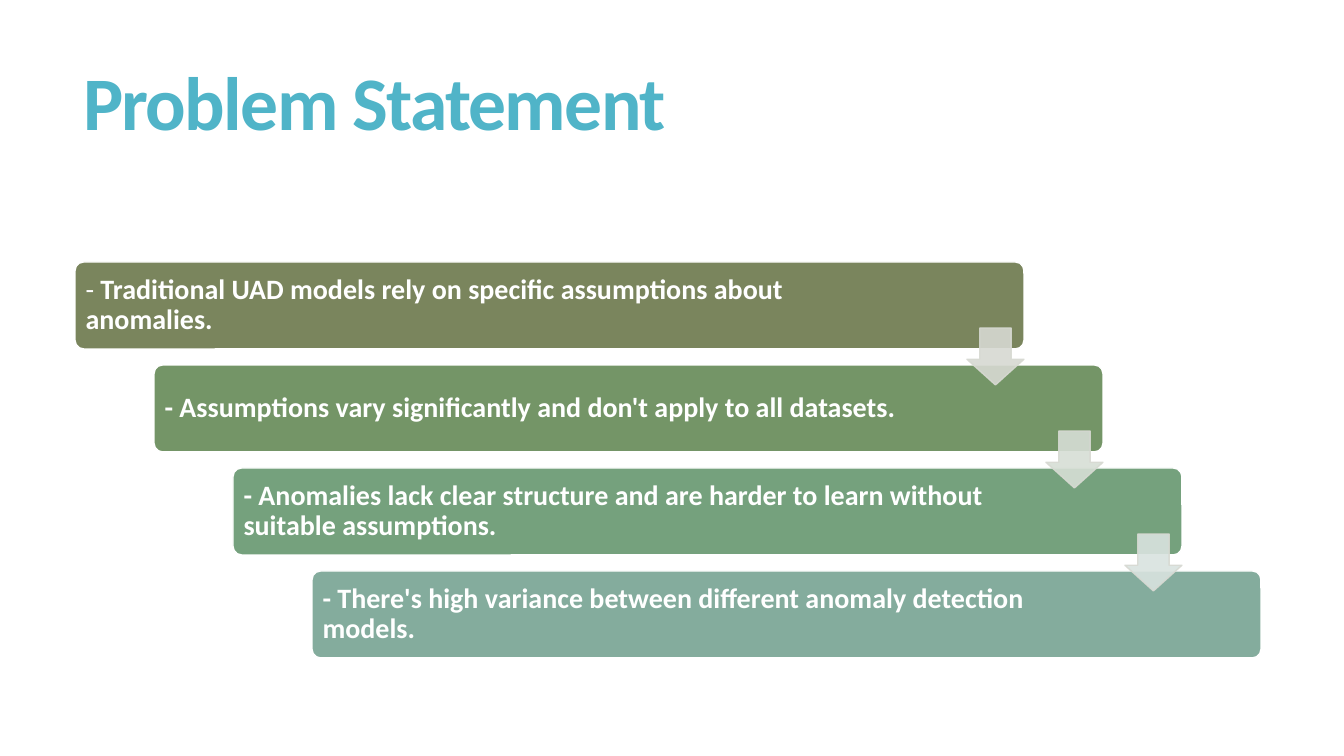
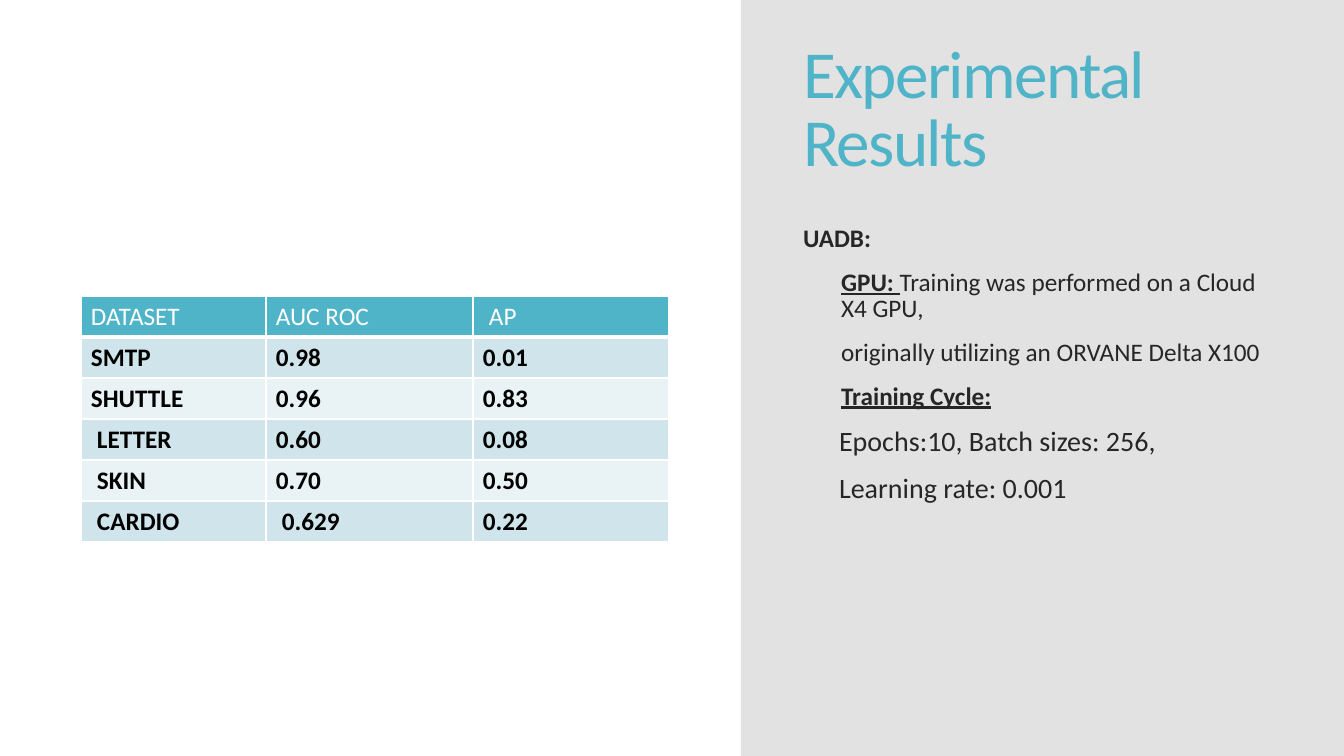
from lxml.etree import SubElement
from pptx import Presentation
from pptx.dml.color import RGBColor
from pptx.enum.shapes import MSO_SHAPE
from pptx.enum.text import MSO_ANCHOR, MSO_AUTO_SIZE, PP_ALIGN
from pptx.oxml.ns import qn
from pptx.util import Pt

PX = 914400 / 100.8
WIDE, HIGH = 1344, 756
FONT = "Calibri"
TEAL, WHITE, BLACK, INK = "50B4C8", "FFFFFF", "000000", "262626"
PANEL, EDGE = "D9D9D9", "D7D9D2"
BANDS = ["D0E5EB", "E9F2F5"]

# Each step: bar colour, text runs (text, bold)
STEPS = [
    ("7A855D", [("-", False),
                (" Traditional UAD models rely on specific assumptions about anomalies.", True)]),
    ("749567", [("- Assumptions vary significantly and don't apply to all datasets.", True)]),
    ("75A17D", [("- Anomalies lack clear structure and are harder to learn without "
                 "suitable assumptions.", True)]),
    ("84AC9D", [("- There's high variance between different anomaly detection models.", True)]),
]
ARROWS = ["D7D9D2", "D6DED5", "D9E3DF"]

HEAD = {"bold": True, "underline": True}
# Each note: left indent, text size, text runs (text, format)
NOTES = [
    (0, 18, [("UADB:", {"bold": True})]),
    (38, 18, [("GPU: ", HEAD), ("Training was performed on a Cloud X4 GPU,", {})]),
    (38, 18, [("originally utilizing an ORVANE Delta X100", {})]),
    (38, 18, [("Training Cycle:", HEAD)]),
    (36, 20, [("Epochs:10, Batch sizes: 256,", {})]),
    (36, 20, [("Learning rate: 0.001", {})]),
]

SCORES = [
    ("DATASET", "AUC ROC", "AP"),
    ("SMTP", "0.98", "0.01"),
    ("SHUTTLE", "0.96", "0.83"),
    ("LETTER", "0.60", "0.08"),
    ("SKIN", "0.70", "0.50"),
    ("CARDIO", "0.629", "0.22"),
]
COLS = [185, 207, 196]
ROW = 41
INSET = {"AP", "LETTER", "SKIN", "CARDIO", "0.629"}


def px(num):
    return round(num * PX)


def rgb(code):
    return RGBColor.from_string(code)


def put(obj, **vals):
    for name, val in vals.items():
        setattr(obj, name, val)


def place(obj, x, y, w, h):
    put(obj, left=px(x), top=px(y), width=px(w), height=px(h))


def add_run(para, text, size, color, **form):
    run = para.add_run()
    run.text = text
    put(run.font, name=FONT, size=Pt(size), **form)
    run.font.color.rgb = rgb(color)
    return run


def paint(fill, color, alpha=100):
    """Fill with a solid colour, alpha in percent."""
    fill.solid()
    fill.fore_color.rgb = rgb(color)
    if alpha < 100:
        tone = fill._xPr.find(qn("a:solidFill"))[0]
        SubElement(tone, qn("a:alpha"), val=str(alpha * 1000))


def add_box(slide, kind, area, color, edge=None, alpha=100, adjust=()):
    x, y, w, h = area
    box = slide.shapes.add_shape(kind, px(x), px(y), px(w), px(h))
    box.shadow.inherit = False
    for i, val in enumerate(adjust):
        box.adjustments[i] = val
    paint(box.fill, color, alpha)
    if edge:
        box.line.width = Pt(1)
        paint(box.line.fill, edge, alpha)
    else:
        box.line.fill.background()
    return box


def set_title(slide, text, area, size, bold):
    title = slide.shapes.title
    place(title, *area)
    put(title.text_frame, vertical_anchor=MSO_ANCHOR.MIDDLE,
        word_wrap=True, auto_size=MSO_AUTO_SIZE.NONE)
    para = title.text_frame.paragraphs[0]
    put(para, alignment=PP_ALIGN.LEFT, line_spacing=0.85)
    run = add_run(para, text, size, TEAL, bold=bold)
    run.font._element.set("spc", "-120")


def add_steps(slide):
    spots = [(75 + 79 * i, 262 + 103 * i) for i in range(len(STEPS))]
    for (x, y), (color, runs) in zip(spots, STEPS):
        bar = add_box(slide, MSO_SHAPE.ROUNDED_RECTANGLE, (x, y, 949, 87),
                      color, WHITE, adjust=[0.1])
        put(bar.text_frame, word_wrap=True, vertical_anchor=MSO_ANCHOR.MIDDLE,
            margin_left=px(8), margin_right=px(146),
            margin_top=px(8), margin_bottom=px(8))
        para = bar.text_frame.paragraphs[0]
        put(para, alignment=PP_ALIGN.LEFT, line_spacing=0.9)
        for text, bold in runs:
            add_run(para, text, 20, WHITE, bold=bold)
    for (x, y), color in zip(spots, ARROWS):
        add_box(slide, MSO_SHAPE.DOWN_ARROW, (x + 892, y + 66, 57, 57),
                color, EDGE, 90, [0.55, 0.45])


def add_notes(slide):
    body = slide.placeholders[1]
    place(body, 793, 222, 479, 426)
    frame = body.text_frame
    put(frame, word_wrap=True, auto_size=MSO_AUTO_SIZE.NONE)
    for i, (left, size, runs) in enumerate(NOTES):
        para = frame.add_paragraph() if i else frame.paragraphs[0]
        put(para, line_spacing=0.85, space_before=Pt(13))
        props = para._p.get_or_add_pPr()
        props.set("marL", str(px(left)))
        props.set("indent", "0")
        SubElement(props, qn("a:buNone"))
        for text, form in runs:
            add_run(para, text, size, INK, **form)


def add_rules(cell, base):
    """Draw white cell borders, the bottom one base points wide."""
    props = cell._tc.get_or_add_tcPr()
    for side, wide in zip("LRTB", (1, 1, 1, base)):
        line = SubElement(props, qn("a:ln" + side), w=str(Pt(wide)))
        solid = SubElement(line, qn("a:solidFill"))
        SubElement(solid, qn("a:srgbClr"), val=WHITE)


def add_scores(slide):
    table = slide.shapes.add_table(
        len(SCORES), len(COLS), px(81), px(296),
        px(sum(COLS)), px(ROW * len(SCORES))).table
    table.horz_banding = False
    for col, wide in zip(table.columns, COLS):
        col.width = px(wide)
    for r, texts in enumerate(SCORES):
        table.rows[r].height = px(ROW)
        for c, text in enumerate(texts):
            cell = table.cell(r, c)
            add_rules(cell, 1 if r else 3)
            paint(cell.fill, BANDS[(r - 1) % 2] if r else TEAL)
            cell.margin_left = px(16 if text in INSET else 10)
            add_run(cell.text_frame.paragraphs[0], text, 18,
                    BLACK if r else WHITE, bold=r > 0)


def main():
    deck = Presentation()
    put(deck, slide_width=px(WIDE), slide_height=px(HIGH))

    slide = deck.slides.add_slide(deck.slide_layouts[5])
    set_title(slide, "Problem Statement", (73, 55, 1187, 104), 54, True)
    add_steps(slide)

    slide = deck.slides.add_slide(deck.slide_layouts[1])
    panel = add_box(slide, MSO_SHAPE.RECTANGLE, (741, 0, WIDE - 741, HIGH), PANEL, alpha=75)
    slide.shapes._spTree.insert(2, panel._element)
    set_title(slide, "Experimental Results", (793, 55, 479, 114), 48, False)
    add_notes(slide)
    add_scores(slide)

    deck.save("out.pptx")


if __name__ == "__main__":
    main()
